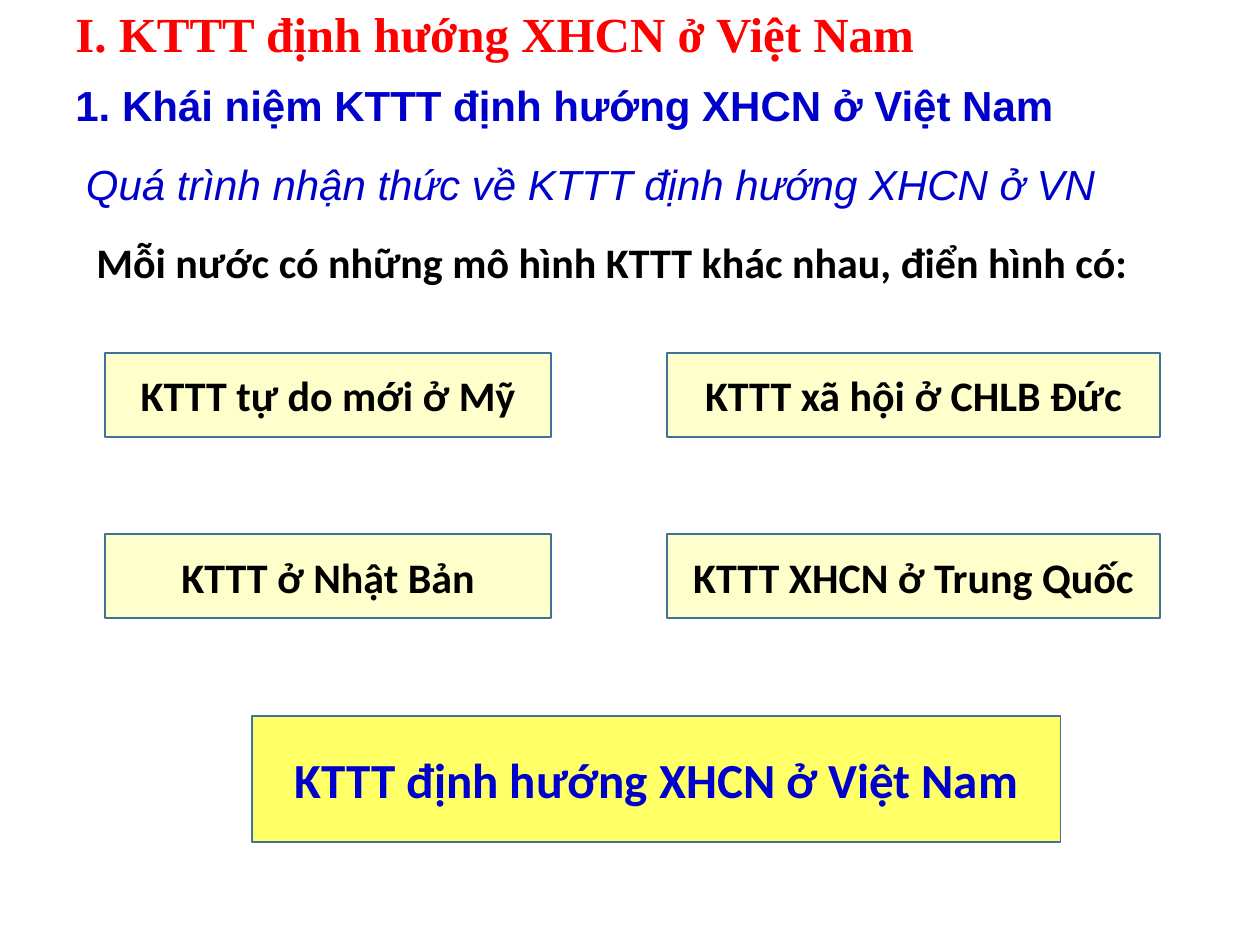
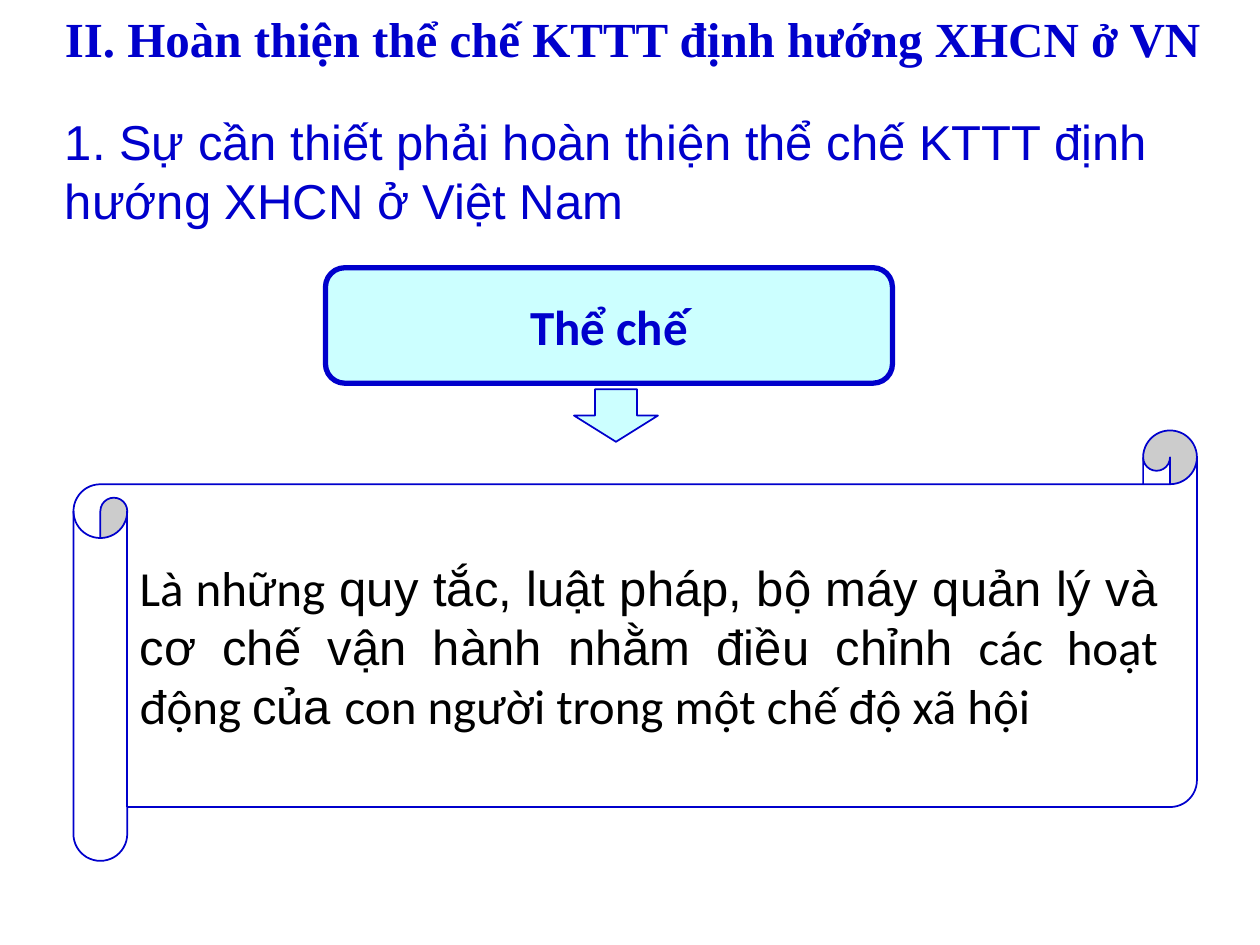
from pptx import Presentation
from pptx.dml.color import RGBColor
from pptx.enum import shapes, text
from pptx.util import Pt

# Colours
RED = RGBColor(0xFF, 0x00, 0x00)
BLUE = RGBColor(0x00, 0x00, 0xCC)
BLACK = RGBColor(0x00, 0x00, 0x00)
WHITE = RGBColor(0xFF, 0xFF, 0xFF)
STEEL = RGBColor(0x41, 0x71, 0x9C)
CREAM = RGBColor(0xFF, 0xFF, 0xCC)
YELLOW = RGBColor(0xFF, 0xFF, 0x66)
AQUA = RGBColor(0xCC, 0xFF, 0xFF)

# Text formats
TITLE = {"name": "Times New Roman", "size": Pt(28), "bold": True}
HEAD = {"name": "Arial", "size": Pt(24), "bold": True}
LEAD = {"name": "Arial", "size": Pt(24), "italic": True}
TOPIC = {"name": "Arial", "size": Pt(28)}
BODY = {"name": "Calibri", "size": Pt(28)}
LABEL = {"name": "Calibri", "size": Pt(24), "bold": True}
STRONG = {"name": "Calibri", "size": Pt(28), "bold": True}

KIND = shapes.MSO_SHAPE
ALIGN = text.PP_ALIGN
MIDDLE = text.MSO_ANCHOR.MIDDLE
TOP = text.MSO_ANCHOR.TOP


def write(shape, runs, color, align=ALIGN.LEFT, anchor=MIDDLE, space=1.0):
    """Fill a shape with one paragraph of (words, format) runs."""
    frame = shape.text_frame
    frame.word_wrap = True
    frame.vertical_anchor = anchor
    para = frame.paragraphs[0]
    para.alignment = align
    para.line_spacing = space
    for words, style in runs:
        run = para.add_run()
        run.text = words
        run.font.color.rgb = color
        for key, value in style.items():
            setattr(run.font, key, value)


def add_text(slide, area, words, style, color, **layout):
    box = slide.shapes.add_textbox(*map(Pt, area))
    write(box, [(words, style)], color, **layout)


def add_title(slide, area, words, color):
    add_text(slide, area, words, TITLE, color, space=0.9)


def add_block(slide, kind, area, fill, line, width=1):
    block = slide.shapes.add_shape(kind, *map(Pt, area))
    block.shadow.inherit = False
    block.fill.solid()
    block.fill.fore_color.rgb = fill
    block.line.color.rgb = line
    block.line.width = Pt(width)
    return block


def add_models(slide):
    # Two columns of models, with the local one in a third row
    columns = [(60, 255), (381, 282)]
    first, step = 201.6, 103.7
    models = [
        ["KTTT tự do mới ở Mỹ", "KTTT xã hội ở CHLB Đức"],
        ["KTTT ở Nhật Bản", "KTTT XHCN ở Trung Quốc"],
    ]
    for row, names in enumerate(models):
        for (left, width), name in zip(columns, names):
            area = (left, first + row * step, width, 48)
            box = add_block(slide, KIND.RECTANGLE, area, CREAM, STEEL)
            write(box, [(name, LABEL)], BLACK, ALIGN.CENTER)
    area = (144, first + len(models) * step, 462, 72)
    box = add_block(slide, KIND.RECTANGLE, area, YELLOW, STEEL)
    write(box, [("KTTT định hướng XHCN ở Việt Nam", STRONG)],
          BLUE, ALIGN.CENTER)


def build_models(slide):
    add_title(slide, (36, 0, 648, 42), "I. KTTT định hướng XHCN ở Việt Nam", RED)
    add_text(slide, (36, 42, 624, 36),
             "1. Khái niệm KTTT định hướng XHCN ở Việt Nam",
             HEAD, BLUE, align=ALIGN.JUSTIFY, anchor=TOP)
    add_text(slide, (42, 87, 642, 36),
             "Quá trình nhận thức về KTTT định hướng XHCN ở VN",
             LEAD, BLUE, anchor=TOP)
    add_text(slide, (48, 135, 630, 48),
             "Mỗi nước có những mô hình KTTT khác nhau, điển hình có:",
             LABEL, BLACK, anchor=TOP, space=0.9)
    add_models(slide)


def build_terms(slide):
    add_title(slide, (30, 0, 678, 48),
              "II. Hoàn thiện thể chế KTTT định hướng XHCN ở VN", BLUE)
    add_text(slide, (30, 60, 684, 75),
             "1. Sự cần thiết phải hoàn thiện thể chế KTTT định hướng "
             "XHCN ở Việt Nam", TOPIC, BLUE, anchor=TOP)

    # Meaning on a scroll
    scroll = add_block(slide, KIND.HORIZONTAL_SCROLL, (42, 246, 642, 246),
                       WHITE, BLUE)
    write(scroll, [
        ("Là những", BODY),
        (" quy tắc, luật pháp, bộ máy quản lý và cơ chế vận hành "
         "nhằm điều chỉnh ", TOPIC),
        ("các hoạt động ", BODY),
        ("của ", TOPIC),
        ("con người trong một chế độ xã hội", BODY),
    ], BLACK, ALIGN.JUSTIFY)

    # Term and the arrow to its meaning
    term = add_block(slide, KIND.ROUNDED_RECTANGLE, (186, 153, 324, 66),
                     AQUA, BLUE, 3)
    write(term, [("Thể chế", STRONG)], BLUE, ALIGN.CENTER)
    add_block(slide, KIND.DOWN_ARROW, (328, 222.5, 48, 30), AQUA, BLUE)


def main():
    deck = Presentation()
    deck.slide_width, deck.slide_height = Pt(720), Pt(540)
    blank = deck.slide_layouts[6]
    for build in (build_models, build_terms):
        build(deck.slides.add_slide(blank))
    deck.save("out.pptx")


if __name__ == "__main__":
    main()
